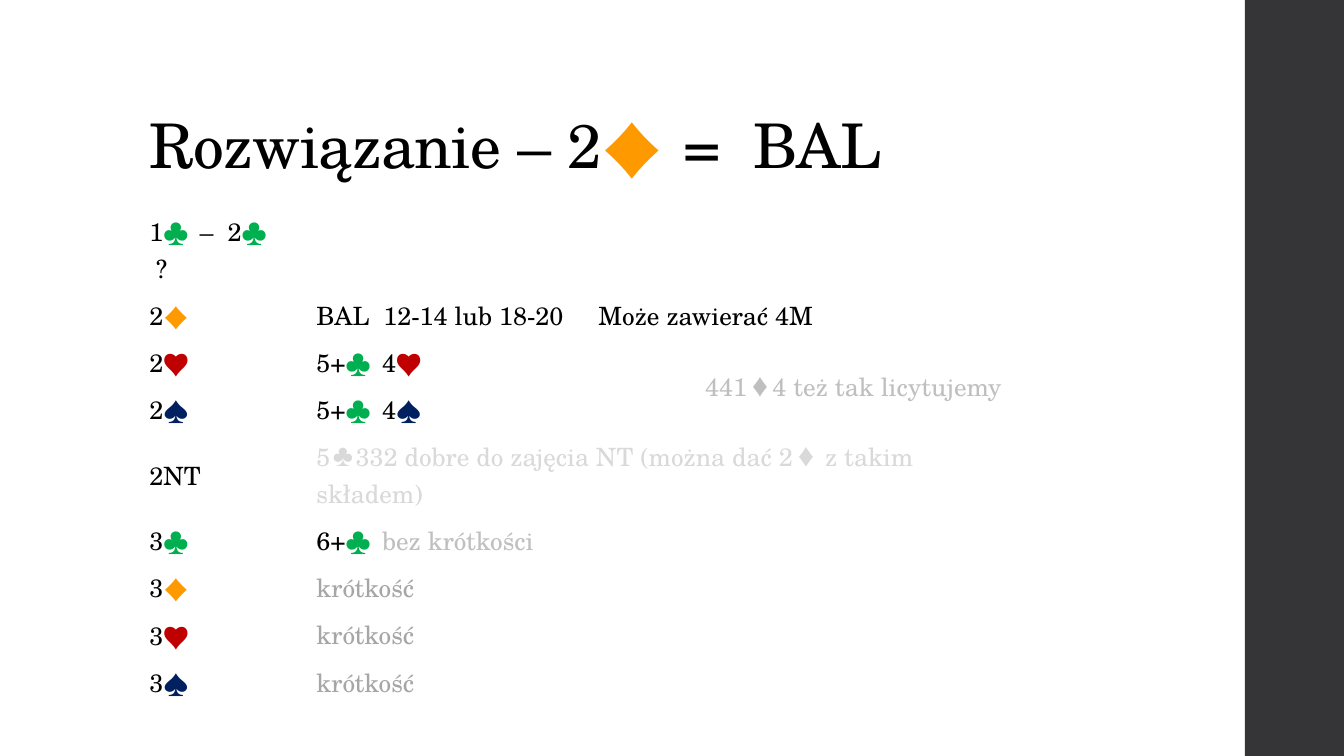
from dataclasses import dataclass
from itertools import groupby

from lxml import etree
from pptx import Presentation
from pptx.dml.color import RGBColor
from pptx.enum import shapes, text
from pptx.oxml import ns
from pptx.util import Pt


@dataclass(frozen=True)
class Theme:
    font: str = "TeX Gyre Schola"
    suit_font: str = "Cabin"
    ink: str = "000000"
    band: str = "353537"
    pale: str = "D9D9D9"
    light: str = "BFBFBF"
    grey: str = "A6A6A6"
    title: int = 44
    body: int = 18


T = Theme()
SUITS = {"♣": "00B050", "♦": "FF9900", "♥": "C00000", "♠": "002060"}


def add_text(p, content, size=T.body, color=T.ink, spacing=0):
    """Add runs to a paragraph; suit symbols get their own colour in black text."""
    for suit, chars in groupby(content, lambda c: c if c in SUITS and color == T.ink else ""):
        r = p.add_run()
        r.text = "".join(chars)
        r.font.size = Pt(size)
        r.font.color.rgb = RGBColor.from_string(SUITS.get(suit, color))
        r.font.name = T.suit_font if suit else T.font
        rpr = r.font._element
        rpr.set("spc", str(round(100 * (3 if suit else spacing))))
        etree.SubElement(rpr, ns.qn("a:ea"), typeface=r.font.name)


prs = Presentation()
prs.slide_width, prs.slide_height = Pt(960), Pt(540)
s = prs.slides.add_slide(prs.slide_layouts[5])

band = s.shapes.add_shape(shapes.MSO_SHAPE.RECTANGLE, Pt(889.2), 0, Pt(70.8), Pt(540))
band.shadow.inherit = False
band.fill.solid()
band.fill.fore_color.rgb = RGBColor.from_string(T.band)
band.line.fill.background()

title = s.shapes.title
title.left, title.top, title.width, title.height = Pt(99.4), Pt(28.8), Pt(763.2), Pt(104.4)
tf = title.text_frame
tf.word_wrap = True
tf.auto_size = text.MSO_AUTO_SIZE.NONE
tf.vertical_anchor = text.MSO_ANCHOR.BOTTOM
p = tf.paragraphs[0]
p.alignment = text.PP_ALIGN.LEFT
p.line_spacing = 0.9
add_text(p, "Rozwiązanie – 2♦ =  BAL", size=T.title, spacing=-0.5)

# Each row: the bid, then the pieces of its meaning with their colours
bids = [
    ("1♣ –  2♣\n ?", []),
    ("2♦", [("BAL  12-14 lub 18-20\tMoże zawierać 4M", T.ink)]),
    ("2♥", [("5+♣ 4♥", T.ink)]),
    ("2♠", [("5+♣ 4♠", T.ink)]),
    ("2NT", [("5♣332 dobre do zajęcia NT (można dać 2♦ z takim składem)", T.pale)]),
    ("3♣", [("6+♣ ", T.ink), ("bez krótkości", T.light)]),
    ("3♦", [("krótkość", T.grey)]),
    ("3♥", [("krótkość", T.grey)]),
    ("3♠", [("krótkość", T.grey)]),
]
NOTE_ROWS = (2, 3)

frame = s.shapes.add_table(len(bids), 3, Pt(99.4), Pt(148.3), Pt(640.4), Pt(285.8))
table = frame.table
table.first_row = table.horz_banding = False
for column, width in zip(table.columns, (119.4, 260.5, 260.5)):
    column.width = Pt(width)

for i, (bid, meaning) in enumerate(bids):
    table.rows[i].height = Pt(29.5 if i else 52.6)
    for cell in table.rows[i].cells:
        cell.fill.background()
        for p in cell.text_frame.paragraphs:
            p.font.size = Pt(T.body)
    bid_cell, meaning_cell, last_cell = table.rows[i].cells
    if i not in NOTE_ROWS:
        meaning_cell.merge(last_cell)

    if i > 1:
        bid_cell.vertical_anchor = text.MSO_ANCHOR.MIDDLE
    tf = bid_cell.text_frame
    for n, line in enumerate(bid.split("\n")):
        add_text(tf.add_paragraph() if n else tf.paragraphs[0], line)

    p = meaning_cell.text_frame.paragraphs[0]
    for content, color in meaning:
        add_text(p, content, color=color)
        if "\t" in content:
            tabs = etree.SubElement(p._p.get_or_add_pPr(), ns.qn("a:tabLst"))
            etree.SubElement(tabs, ns.qn("a:tab"), pos=str(Pt(201.5)), algn="l")
            # Tab stops come before the default run format
            tabs.getparent().insert(0, tabs)

note = table.cell(NOTE_ROWS[0], 2)
note.merge(table.cell(NOTE_ROWS[1], 2))
note.vertical_anchor = text.MSO_ANCHOR.MIDDLE
p = note.text_frame.paragraphs[0]
p.alignment = text.PP_ALIGN.CENTER
add_text(p, "441♦4 też tak licytujemy", color=T.light)

prs.save("out.pptx")
